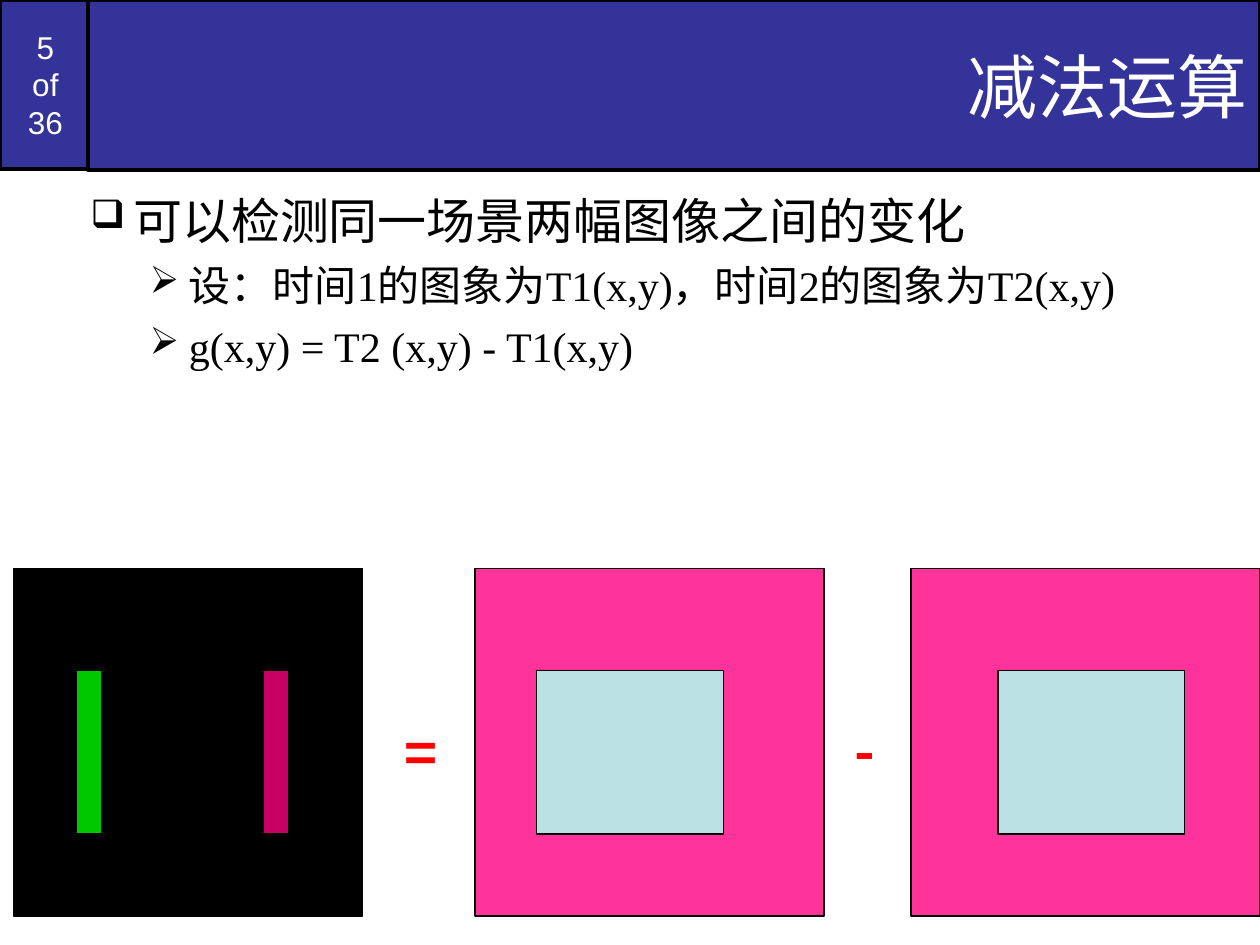
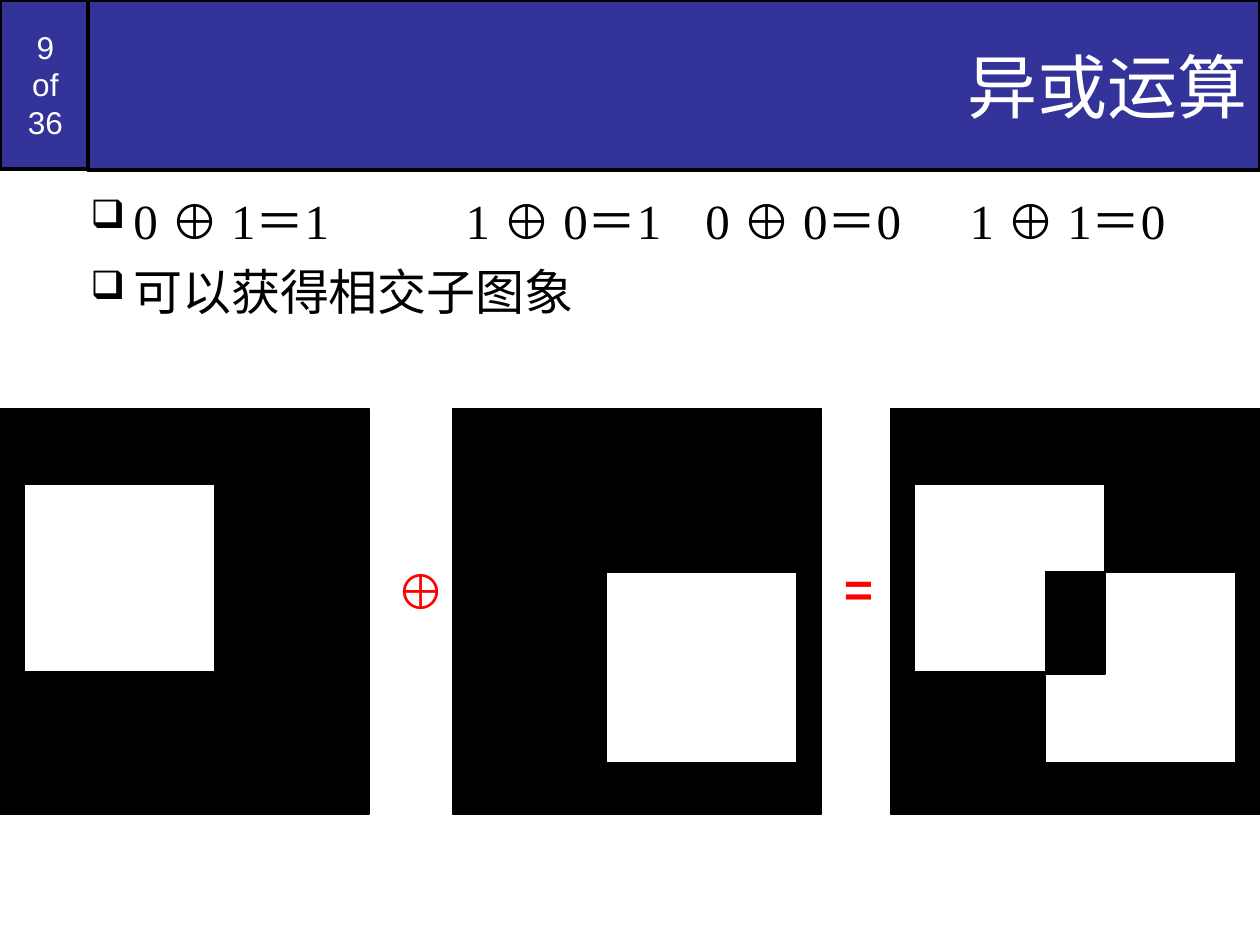
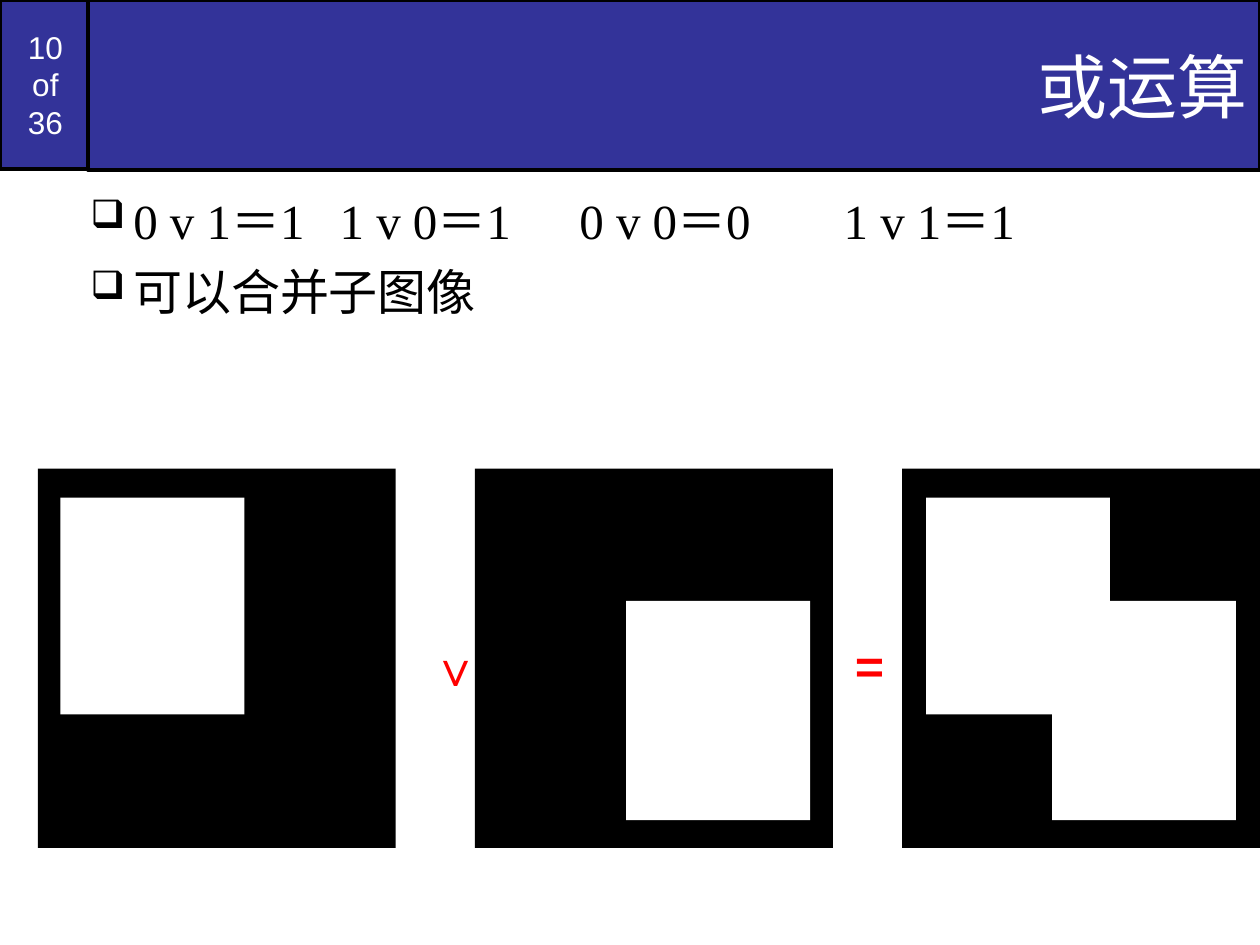
"""Build three slides on image subtraction, XOR and OR operations."""
from dataclasses import dataclass
from itertools import groupby
from typing import NamedTuple, Optional

from lxml import etree
from pptx import Presentation
from pptx import util as u
from pptx.dml.color import RGBColor
from pptx.enum import shapes, text
from pptx.oxml import ns


@dataclass(frozen=True)
class Theme:
    band: str = "333399"
    black: str = "000000"
    white: str = "FFFFFF"
    scene: str = "FF3399"
    target: str = "BBE0E3"
    gain: str = "00C800"
    loss: str = "C80064"
    operator: str = "FF0000"
    sans: str = "Arial"
    serif: str = "Times New Roman"
    cjk: str = "Noto Sans CJK SC"
    title_size: int = 40
    number_size: int = 18
    band_line: float = 2
    thin_line: float = 0.75
    slide_count: int = 36


THEME = Theme()


class Level(NamedTuple):
    bullet: str
    bullet_percent: int
    margin: float
    hanging: float
    size: int
    space_before: int


LEVELS = (
    Level("❑", 80, 0.46, 0.34, 28, 7),
    Level("➢", 90, 0.9, 0.31, 24, 6),
)


class Box(NamedTuple):
    left: float
    top: float
    width: float
    height: float
    fill: str
    line: Optional[float] = THEME.thin_line


class Operator(NamedTuple):
    symbol: str
    left: float
    top: float
    width: float
    height: float
    size: int = 28
    font: str = THEME.cjk


class Bullet(NamedTuple):
    content: str
    level: int = 0


class Page(NamedTuple):
    number: int
    title: str
    bullets: list[Bullet]
    boxes: list[Box]
    operators: list[Operator]


def row(lefts: list[float], top: float, width: float, height: float,
        fill: str, line: Optional[float] = THEME.thin_line) -> list[Box]:
    """Return equal boxes side by side."""
    return [Box(left, top, width, height, fill, line) for left in lefts]


def set_font(font, name: str, size: float, color: str, bold: bool = False) -> None:
    """Apply a typeface, size, colour and weight."""
    font.name = name
    font.size = u.Pt(size)
    font.bold = bold
    font.color.rgb = RGBColor.from_string(color)


def add_box(slide, box: Box):
    """Draw one filled rectangle."""
    shape = slide.shapes.add_shape(
        shapes.MSO_SHAPE.RECTANGLE, *(u.Inches(value) for value in box[:4]))
    shape.shadow.inherit = False
    shape.fill.solid()
    shape.fill.fore_color.rgb = RGBColor.from_string(box.fill)
    if box.line is None:
        shape.line.fill.background()
    else:
        shape.line.width = u.Pt(box.line)
        shape.line.color.rgb = RGBColor.from_string(THEME.black)
    return shape


def add_band(slide, box: Box, content: str, size: int, align, space_before: float = 0) -> None:
    """Draw one part of the header with its text."""
    frame = add_box(slide, box).text_frame
    frame.word_wrap = True
    frame.vertical_anchor = text.MSO_ANCHOR.MIDDLE
    paragraph = frame.paragraphs[0]
    paragraph.text = content
    paragraph.alignment = align
    paragraph.space_before = u.Pt(space_before)
    set_font(paragraph.font, THEME.sans, size, THEME.white)


def add_header(slide, page: Page) -> None:
    """Draw the page number tile and the title band."""
    add_band(slide, Box(0, 0, 0.72, 1.34, THEME.band, THEME.band_line),
             f"{page.number}\vof\v{THEME.slide_count}", THEME.number_size,
             text.PP_ALIGN.CENTER, 11.2)
    add_band(slide, Box(0.7, 0, 9.3, 1.35, THEME.band, THEME.band_line),
             page.title, THEME.title_size, text.PP_ALIGN.RIGHT)


def format_bullet(paragraph, level: Level) -> None:
    """Set the indent, bullet and one-inch tab stops of a paragraph."""
    properties = paragraph._p.get_or_add_pPr()
    properties.set("marL", str(u.Inches(level.margin)))
    properties.set("indent", str(-u.Inches(level.hanging)))
    color = etree.SubElement(properties, ns.qn("a:buClr"))
    etree.SubElement(color, ns.qn("a:srgbClr"), val=THEME.black)
    etree.SubElement(properties, ns.qn("a:buSzPct"), val=str(level.bullet_percent * 1000))
    etree.SubElement(properties, ns.qn("a:buChar"), char=level.bullet)
    tabs = etree.SubElement(properties, ns.qn("a:tabLst"))
    for stop in range(1, 9):
        etree.SubElement(tabs, ns.qn("a:tab"), pos=str(u.Inches(stop)), algn="l")


def add_body(slide, bullets: list[Bullet]) -> None:
    """Write the bulleted text, with XOR signs in the sans typeface."""
    frame = slide.shapes.add_textbox(
        u.Inches(0.5), u.Inches(1.46), u.Inches(9), u.Inches(6.04)).text_frame
    frame.word_wrap = True
    for index, bullet in enumerate(bullets):
        paragraph = frame.add_paragraph() if index else frame.paragraphs[0]
        level = LEVELS[bullet.level]
        paragraph.level = bullet.level
        format_bullet(paragraph, level)
        paragraph.space_before = u.Pt(level.space_before)
        set_font(paragraph.font, THEME.serif, level.size, THEME.black)
        for is_xor, characters in groupby(bullet.content, lambda character: character == "⊕"):
            run = paragraph.add_run()
            run.text = "".join(characters)
            if is_xor:
                run.font.name = THEME.sans


def add_operator(slide, operator: Operator) -> None:
    """Write a red operator between two panels."""
    frame = slide.shapes.add_textbox(
        *(u.Inches(value) for value in operator[1:5])).text_frame
    frame.word_wrap = False
    frame.auto_size = text.MSO_AUTO_SIZE.SHAPE_TO_FIT_TEXT
    frame.vertical_anchor = text.MSO_ANCHOR.MIDDLE
    paragraph = frame.paragraphs[0]
    paragraph.text = operator.symbol
    paragraph.alignment = text.PP_ALIGN.CENTER
    set_font(paragraph.font, operator.font, operator.size, THEME.operator, bold=True)


PAGES = [
    Page(
        5, "减法运算",
        [Bullet("可以检测同一场景两幅图像之间的变化"),
         Bullet("设：时间1的图象为T1(x,y)，时间2的图象为T2(x,y)", 1),
         Bullet("g(x,y) = T2 (x,y) - T1(x,y)", 1)],
        [*row([3.77, 7.23], 4.51, 2.77, 2.76, THEME.scene),
         *row([4.26, 7.92], 5.32, 1.48, 1.3, THEME.target),
         Box(0.11, 4.51, 2.77, 2.76, THEME.black),
         Box(0.61, 5.32, 0.2, 1.3, THEME.gain),
         Box(2.09, 5.32, 0.2, 1.3, THEME.loss)],
        [Operator("=", 3.11, 5.65, 0.46, 0.64, 32),
         Operator("-", 6.68, 5.63, 0.36, 0.64, 32)],
    ),
    Page(
        9, "异或运算",
        [Bullet("0 ⊕ 1＝1\t 1 ⊕ 0＝1\t0 ⊕ 0＝0\t 1 ⊕ 1＝0"),
         Bullet("可以获得相交子图象")],
        [*row([0, 3.59, 7.07], 3.24, 2.93, 3.22, THEME.black),
         *row([0.19, 7.26], 3.84, 1.51, 1.49, THEME.white),
         *row([4.81, 8.3], 4.54, 1.51, 1.51, THEME.white),
         Box(8.3, 4.54, 0.47, 0.81, THEME.black)],
        [Operator("⊕", 3.05, 4.4, 0.51, 0.57, font=THEME.sans),
         Operator("=", 6.6, 4.4, 0.39, 0.57)],
    ),
    Page(
        10, "或运算",
        [Bullet("0 v 1＝1\t 1 v 0＝1\t0 v 0＝0\t 1 v 1＝1"),
         Bullet("可以合并子图像")],
        [*row([0.3, 3.77, 7.16], 3.72, 2.84, 3.01, THEME.black, None),
         *row([0.48, 7.35], 3.95, 1.46, 1.72, THEME.white, None),
         *row([4.97, 8.35], 4.77, 1.46, 1.74, THEME.white, None)],
        [Operator("∨", 3.33, 5.01, 0.33, 0.57, font=THEME.sans),
         Operator("=", 6.69, 5.01, 0.39, 0.57)],
    ),
]


def main() -> None:
    """Build and save the presentation."""
    presentation = Presentation()
    presentation.slide_width = u.Inches(10)
    presentation.slide_height = u.Inches(7.5)
    for page in PAGES:
        slide = presentation.slides.add_slide(presentation.slide_layouts[6])
        add_header(slide, page)
        add_body(slide, page.bullets)
        for box in page.boxes:
            add_box(slide, box)
        for operator in page.operators:
            add_operator(slide, operator)
    presentation.save("out.pptx")


if __name__ == "__main__":
    main()
